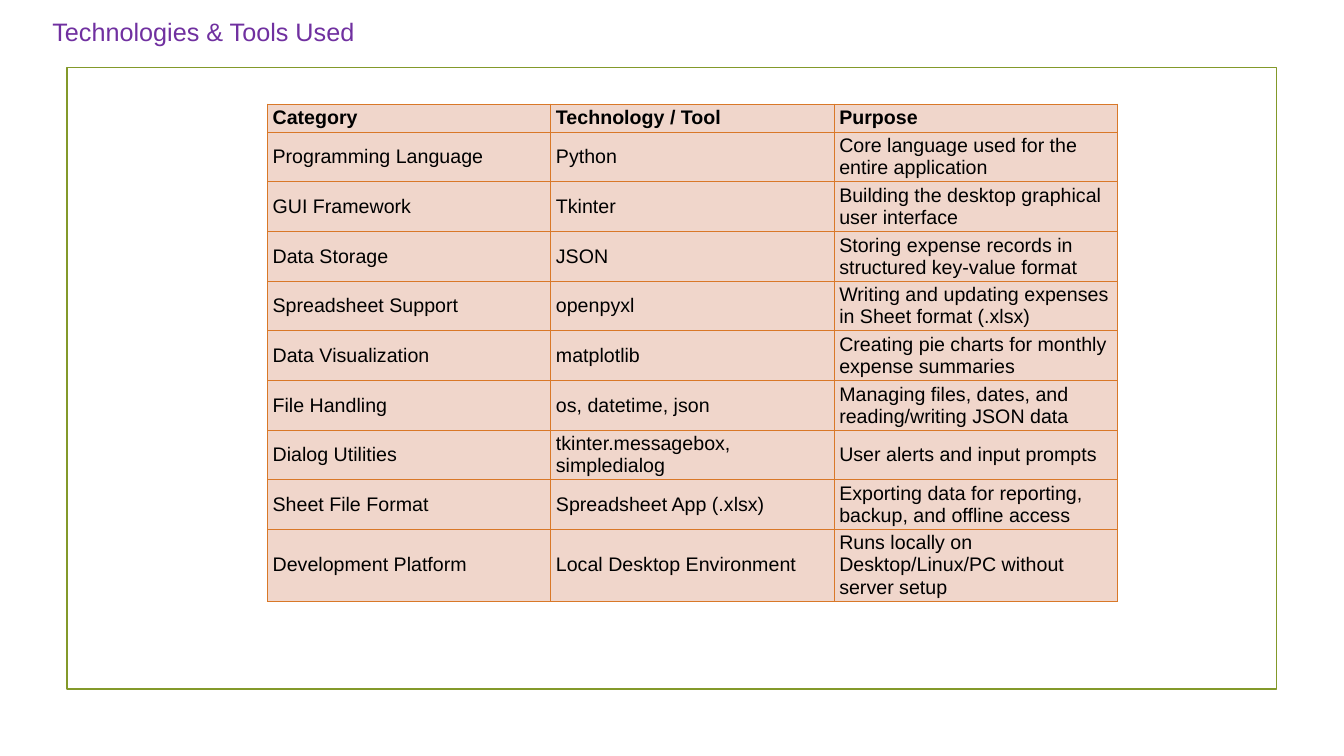
from lxml import etree
from pptx import Presentation
from pptx import util as u
from pptx.dml.color import RGBColor
from pptx.enum import shapes, text
from pptx.oxml.ns import qn

FONT = "Arial"
TOOLS = [
    ("Category", "Technology / Tool", "Purpose"),
    ("Programming Language", "Python", "Core language used for the entire application"),
    ("GUI Framework", "Tkinter", "Building the desktop graphical user interface"),
    ("Data Storage", "JSON", "Storing expense records in structured key-value format"),
    ("Spreadsheet Support", "openpyxl", "Writing and updating expenses in Sheet format (.xlsx)"),
    ("Data Visualization", "matplotlib", "Creating pie charts for monthly expense summaries"),
    ("File Handling", "os, datetime, json", "Managing files, dates, and reading/writing JSON data"),
    ("Dialog Utilities", "tkinter.messagebox, simpledialog", "User alerts and input prompts"),
    ("Sheet File Format", "Spreadsheet App (.xlsx)", "Exporting data for reporting, backup, and offline access"),
    ("Development Platform", "Local Desktop Environment", "Runs locally on Desktop/Linux/PC without server setup"),
]
ROW_HEIGHTS = [0.71] + [1.25] * (len(TOOLS) - 2) + [1.79]


def rgb(value):
    return RGBColor.from_string(value)


def set_font(paragraph, size, color, bold=False):
    font = paragraph.font
    font.name, font.size, font.bold = FONT, u.Pt(size), bold
    font.color.rgb = rgb(color)


def add_frame(slide, left, top, width, height):
    frame = slide.shapes.add_shape(
        shapes.MSO_SHAPE.RECTANGLE, u.Cm(left), u.Cm(top), u.Cm(width), u.Cm(height))
    frame.shadow.inherit = False
    frame.fill.background()
    frame.line.color.rgb = rgb("83992A")
    frame.line.width = u.Pt(1.25)


def add_title(slide, left, top, width, height):
    title = slide.shapes.add_textbox(u.Cm(left), u.Cm(top), u.Cm(width), u.Cm(height)).text_frame
    title.word_wrap = True
    title.text = "Technologies & Tools Used"
    set_font(title.paragraphs[0], 18, "7030A0")


def add_borders(cell, color, width):
    properties = cell._tc.get_or_add_tcPr()
    for side in ("a:lnL", "a:lnR", "a:lnT", "a:lnB"):
        border = etree.SubElement(properties, qn(side), w=str(u.Pt(width)))
        fill = etree.SubElement(border, qn("a:solidFill"))
        etree.SubElement(fill, qn("a:srgbClr"), val=color)


def fill_cell(cell, wording, bold):
    cell.text = wording
    set_font(cell.text_frame.paragraphs[0], 14, "000000", bold)
    cell.vertical_anchor = text.MSO_ANCHOR.MIDDLE
    cell.margin_left = cell.margin_right = u.Cm(0.13)
    cell.margin_top = cell.margin_bottom = u.Cm(0.07)
    add_borders(cell, "D97828", 0.75)
    cell.fill.solid()
    cell.fill.fore_color.rgb = rgb("F0D6CB")


def add_tools_table(slide, left, top, width):
    table = slide.shapes.add_table(
        len(TOOLS), len(TOOLS[0]), u.Cm(left), u.Cm(top),
        u.Cm(width), u.Cm(sum(ROW_HEIGHTS))).table
    table.first_row = table.horz_banding = False
    for column in table.columns:
        column.width = u.Cm(width / len(TOOLS[0]))
    for r, (tool, height) in enumerate(zip(TOOLS, ROW_HEIGHTS)):
        table.rows[r].height = u.Cm(height)
        for c, wording in enumerate(tool):
            fill_cell(table.cell(r, c), wording, bold=r == 0)


def main():
    deck = Presentation()
    deck.slide_width, deck.slide_height = u.Cm(33.87), u.Cm(19.05)
    slide = deck.slides.add_slide(deck.slide_layouts[6])
    add_frame(slide, 1.69, 1.7, 30.48, 15.67)
    add_tools_table(slide, 6.74, 2.62, 21.42)
    add_title(slide, 1.07, 0.28, 17, 1.02)
    deck.save("out.pptx")


if __name__ == "__main__":
    main()
